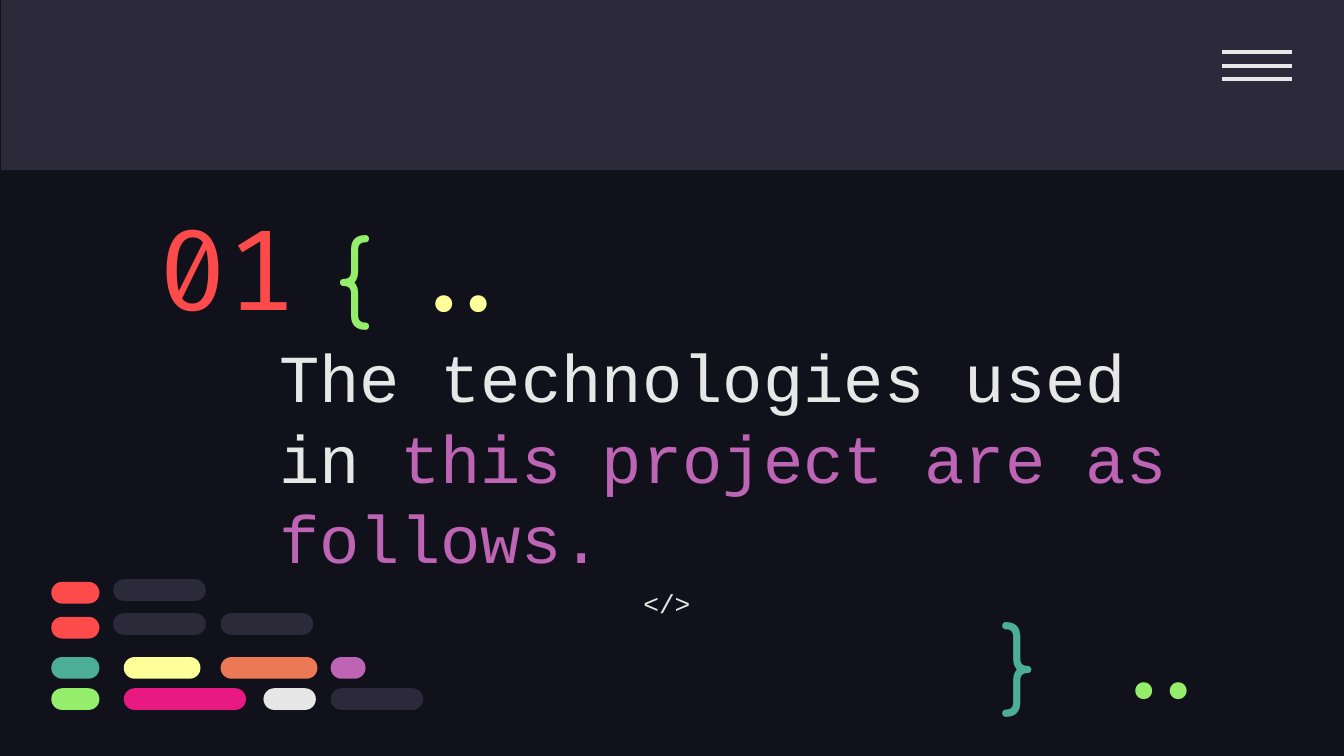
import pptx
import pptx.util
import pptx.dml.color
import pptx.enum.shapes
import pptx.enum.text
from lxml import etree
from pptx.oxml.ns import qn
from pptx.util import Cm

COLORS = {
    "night": "10111A", "slate": "2C293A", "white": "E7E7E7", "red": "FD4A4A",
    "green": "94EE6B", "teal": "4CAE97", "yellow": "FFFF99", "orange": "EC7955",
    "purple": "BD64B5", "pink": "E81A81",
}
PILL_ROWS = [
    (0.05, [(0, 0.91, "red")]),
    (0, [(1.17, 1.75, "slate")]),
    (0.71, [(0, 0.91, "red")]),
    (0.64, [(1.17, 1.75, "slate"), (3.2, 1.75, "slate")]),
    (1.47, [(0, 0.91, "teal"), (1.37, 1.45, "yellow"),
            (3.2, 1.83, "orange"), (5.28, 0.66, "purple")]),
    (2.06, [(0, 0.91, "green"), (1.37, 2.31, "pink"),
            (4.01, 0.99, "white"), (5.28, 1.75, "slate")]),
]
SHAPE = pptx.enum.shapes.MSO_SHAPE
ANCHOR = pptx.enum.text.MSO_ANCHOR
ALIGN = pptx.enum.text.PP_ALIGN


def rgb(name):
    """Return the named colour."""
    return pptx.dml.color.RGBColor.from_string(COLORS[name])


def add_block(s, kind, x, y, w, h, color):
    """Add a filled shape without outline or shadow."""
    sp = s.shapes.add_shape(kind, Cm(x), Cm(y), Cm(w), Cm(h))
    sp.shadow.inherit = False
    sp.fill.solid()
    sp.fill.fore_color.rgb = rgb(color)
    sp.line.fill.background()
    return sp


def add_text(s, x, y, w, h, runs, font, size, anchor=ANCHOR.TOP,
             align=ALIGN.LEFT, spacing=None):
    """Add a one-paragraph text box from (text, colour) runs."""
    tf = s.shapes.add_textbox(Cm(x), Cm(y), Cm(w), Cm(h)).text_frame
    tf.word_wrap = True
    tf.vertical_anchor = anchor
    tf.margin_left = tf.margin_right = tf.margin_top = tf.margin_bottom = Cm(0.25)
    p = tf.paragraphs[0]
    p.alignment = align
    p.line_spacing = spacing
    for text, color in runs:
        r = p.add_run()
        r.text = text
        r.font.name = font
        r.font.size = pptx.util.Pt(size)
        r.font.color.rgb = rgb(color)


def add_header(s, x, y, w, h):
    """Draw the top band with its three-line menu icon."""
    add_block(s, SHAPE.RECTANGLE, x, y, w, h, "slate")
    for i in range(3):
        line_y = Cm(y + 0.99 + i * 0.25)
        line = s.shapes.add_connector(
            pptx.enum.shapes.MSO_CONNECTOR.STRAIGHT,
            Cm(x + 23.07), line_y, Cm(x + 24.39), line_y)
        line.line.color.rgb = rgb("white")
        line.line.width = pptx.util.Pt(2.25)
        etree.SubElement(line._element.spPr, qn("a:effectLst"))


def add_heading(s, x, y):
    """Place the section number, title, tag, braces and dots."""
    add_text(s, x + 2.29, y + 3.2, 18.44, 3.33,
             [("The technologies used in ", "white"),
              ("this project are as follows.", "purple")],
             "Courier New", 36, ANCHOR.MIDDLE)
    add_text(s, x, y, 4.6, 2.54, [("01", "red")], "Fira Code", 60, ANCHOR.MIDDLE)
    add_text(s, x + 9.17, y + 7.01, 1.75, 0.79, [("</>", "white")],
             "Courier New", 14, spacing=1.15)
    add_text(s, x + 3.36, y + 0.05, 1.96, 2.41, [("{", "green")], "Comfortaa", 50)
    add_text(s, x + 15.93, y + 7.37, 1.45, 2.11, [("}", "teal")], "Comfortaa", 50)
    for dx, dy, color in [(17.83, 7.97, "green"), (4.6, 0.66, "yellow")]:
        add_text(s, x + dx, y + dy, 2.72, 1.52, [("..", color)],
                 "Fira Code", 50, ANCHOR.MIDDLE, ALIGN.RIGHT)


def add_code_pills(s, x, y):
    """Draw the rows of rounded bars that suggest code."""
    for dy, pills in PILL_ROWS:
        for dx, w, color in pills:
            sp = add_block(s, SHAPE.ROUNDED_RECTANGLE, x + dx, y + dy, w, 0.41, color)
            sp.adjustments[0] = 0.5


def main():
    """Build and save the slide."""
    prs = pptx.Presentation()
    prs.slide_width, prs.slide_height = Cm(25.4), Cm(14.29)
    s = prs.slides.add_slide(prs.slide_layouts[6])
    s.background.fill.solid()
    s.background.fill.fore_color.rgb = rgb("night")
    add_header(s, 0.02, 0, 25.4, 3.22)
    add_heading(s, 2.74, 3.76)
    add_code_pills(s, 0.97, 10.95)
    prs.save("out.pptx")


if __name__ == "__main__":
    main()
